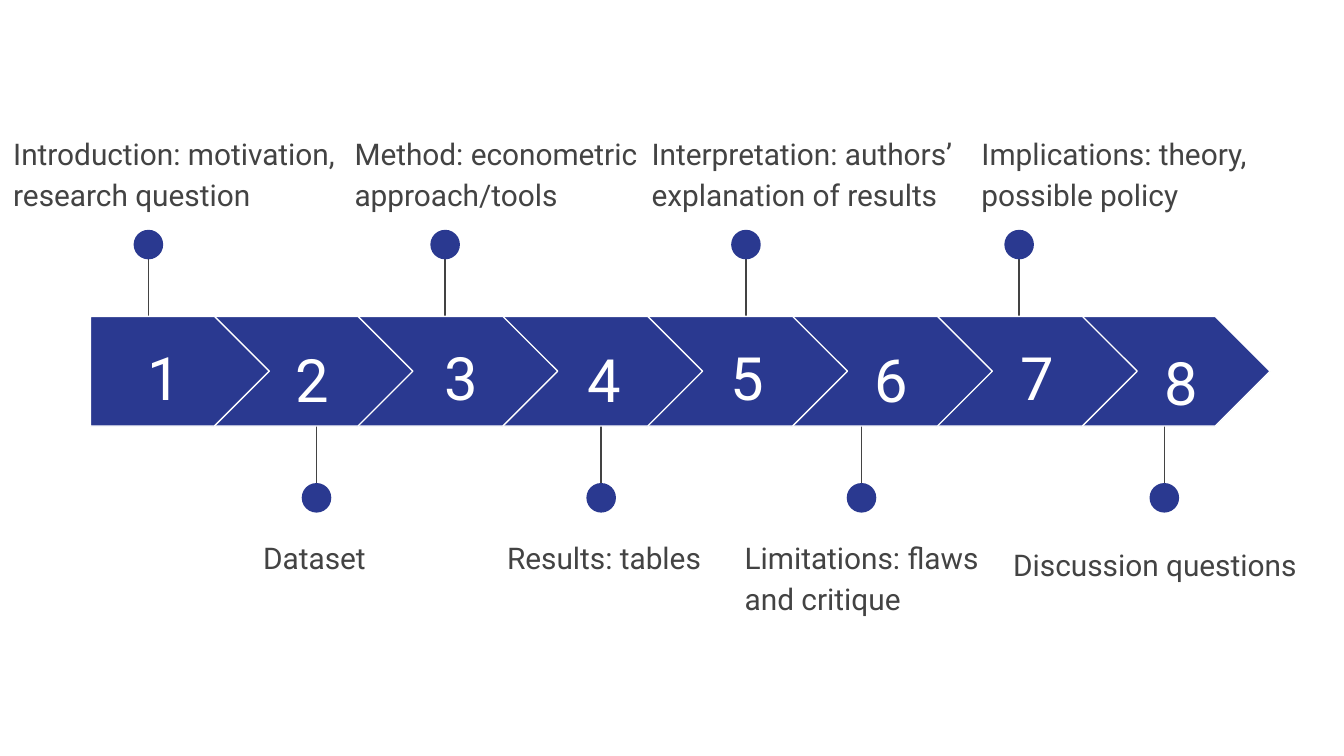
"""Build a timeline slide of eight numbered steps, measured in grid cells of a tenth of an inch."""
from dataclasses import dataclass

import pptx
import pptx.dml.color
import pptx.enum.shapes
import pptx.oxml.ns
import pptx.slide
import pptx.util
from lxml import etree

COLORS = {"band": "2A3990", "text": "434343", "white": "FFFFFF"}
FONT = "Roboto"
COLUMNS, ROWS = 100, 56.25
BAND_TOP, BAND_HEIGHT = 23.54, 8.16
FIRST_LEFT, SECOND_LEFT, LAST_LEFT = 6.74, 15.72, 80.4
FIRST_WIDTH, CHEVRON_WIDTH, LAST_WIDTH = 13.3, 15, 14.1
DOT = 2.2
LABEL_HEIGHT = 9.9


@dataclass(frozen=True)
class Step:
    label: str
    label_left: float
    label_top: float
    label_width: float
    pin: float
    number_left: float
    number_top: float


STEPS = [
    Step("Introduction: motivation, research question", 0, 8.67, 27.7, 11.04, 10, 23.54),
    Step("Dataset", 18.6, 38.74, 11, 23.55, 21.04, 23.7),
    Step("Method: econometric approach/tools", 25.4, 8.67, 24, 33.12, 32.1, 23.54),
    Step("Results: tables", 36.74, 38.74, 24.5, 44.73, 42.7, 23.7),
    Step("Interpretation: authors’ explanation of results", 47.5, 8.67, 24.5, 55.5, 53.4, 23.54),
    Step("Limitations: flaws and critique", 54.43, 38.74, 21.4, 64.1, 64.1, 23.7),
    Step("Implications: theory, possible policy", 72.04, 8.67, 24.5, 75.83, 74.94, 23.54),
    Step("Discussion questions", 74.4, 39.3, 24.5, 86.63, 85.7, 23.95),
]


def cells(count: float) -> pptx.util.Emu:
    return pptx.util.Inches(count / 10)


def color(name: str) -> pptx.dml.color.RGBColor:
    return pptx.dml.color.RGBColor.from_string(COLORS[name])


def add_text(slide: pptx.slide.Slide, text: str, left: float, top: float,
             width: float, height: float, size: float, ink: str) -> None:
    frame = slide.shapes.add_textbox(*map(cells, (left, top, width, height))).text_frame
    frame.word_wrap = True
    frame.margin_left = frame.margin_right = cells(1)
    frame.margin_top = frame.margin_bottom = cells(1)
    paragraph = frame.paragraphs[0]
    paragraph.text = text
    paragraph.line_spacing = 1.15
    paragraph.space_after = pptx.util.Pt(16)
    paragraph.font.name = FONT
    paragraph.font.size = pptx.util.Pt(size)
    paragraph.font.color.rgb = color(ink)


def add_pin(slide: pptx.slide.Slide, step: Step, above: bool) -> None:
    outer, band_edge, dot_top = (17.5, 23.6, 17.1) if above else (37.7, 31.6, 35.94)
    stem = slide.shapes.add_connector(
        pptx.enum.shapes.MSO_CONNECTOR.STRAIGHT,
        cells(step.pin), cells(outer), cells(step.pin), cells(band_edge))
    stem.line.color.rgb = color("text")
    stem.line.width = pptx.util.Pt(0.75)
    etree.SubElement(stem.element.spPr, pptx.oxml.ns.qn("a:effectLst"))
    dot = slide.shapes.add_shape(
        pptx.enum.shapes.MSO_SHAPE.OVAL,
        cells(step.pin - DOT / 2), cells(dot_top), cells(DOT), cells(DOT))
    dot.shadow.inherit = False
    dot.fill.solid()
    dot.fill.fore_color.rgb = color("band")
    dot.line.fill.background()


def add_arrow(slide: pptx.slide.Slide, index: int) -> None:
    last = len(STEPS) - 1
    pitch = (LAST_LEFT - SECOND_LEFT) / (last - 1)
    kind = pptx.enum.shapes.MSO_SHAPE.CHEVRON
    left, width = SECOND_LEFT + pitch * (index - 1), CHEVRON_WIDTH
    if index == 0:
        kind = pptx.enum.shapes.MSO_SHAPE.PENTAGON
        left, width = FIRST_LEFT, FIRST_WIDTH
    elif index == last:
        width = LAST_WIDTH
    arrow = slide.shapes.add_shape(kind, *map(cells, (left, BAND_TOP, width, BAND_HEIGHT)))
    arrow.adjustments[0] = 0.5
    arrow.shadow.inherit = False
    arrow.fill.solid()
    arrow.fill.fore_color.rgb = color("band")
    arrow.line.color.rgb = color("white")
    arrow.line.width = pptx.util.Pt(0.75)


def main() -> None:
    deck = pptx.Presentation()
    deck.slide_width, deck.slide_height = cells(COLUMNS), cells(ROWS)
    slide = deck.slides.add_slide(deck.slide_layouts[6])
    for index, step in enumerate(STEPS):
        add_pin(slide, step, above=index % 2 == 0)
    for index in reversed(range(len(STEPS))):
        add_arrow(slide, index)
    for number, step in enumerate(STEPS, start=1):
        add_text(slide, step.label, step.label_left, step.label_top,
                 step.label_width, LABEL_HEIGHT, 16, "text")
        add_text(slide, str(number), step.number_left, step.number_top, 6, 6.5, 32, "white")
    deck.save("out.pptx")


if __name__ == "__main__":
    main()
